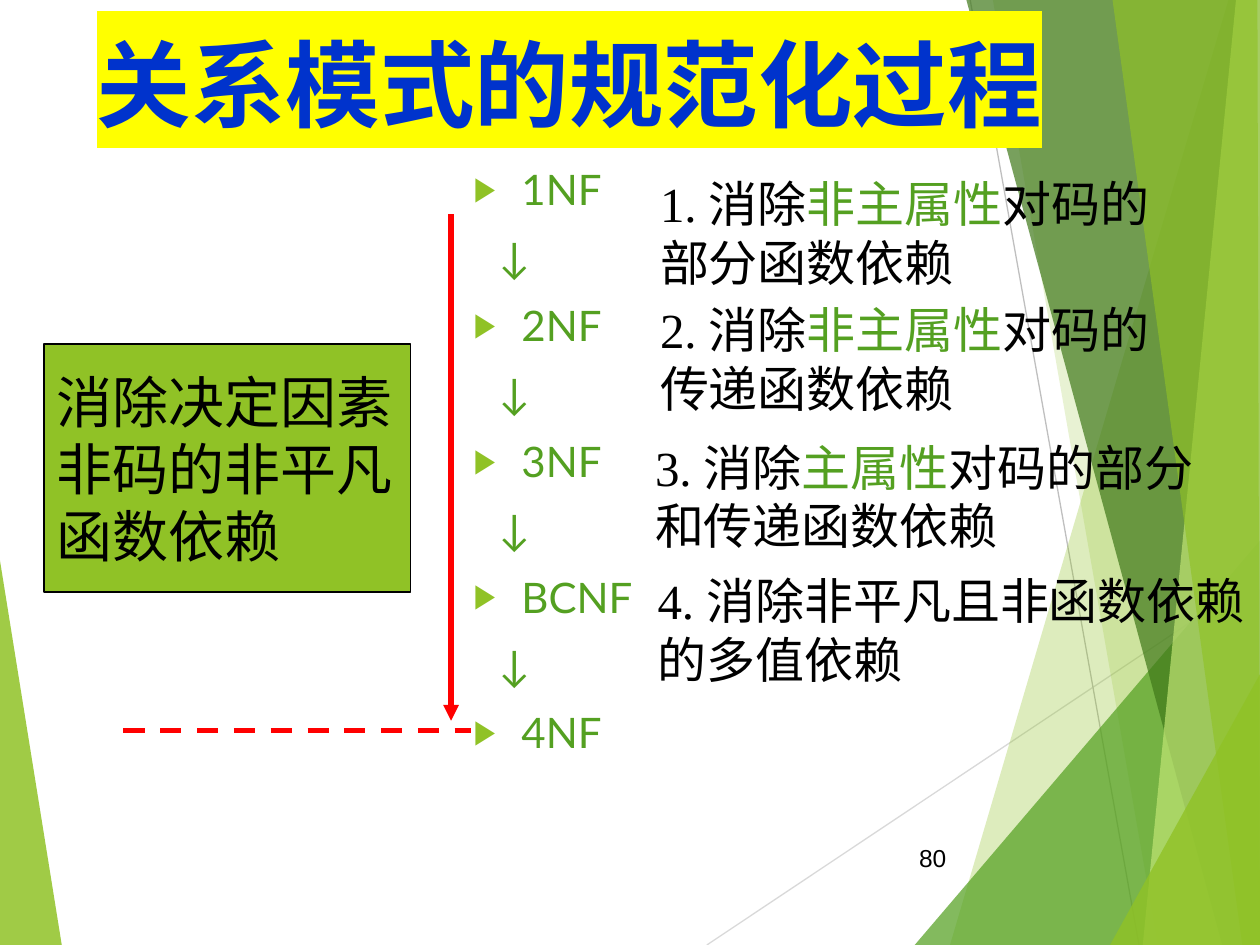
from pptx import Presentation
from pptx.dml.color import RGBColor
from pptx.enum.dml import MSO_LINE_DASH_STYLE as Dash
from pptx.enum.shapes import MSO_CONNECTOR, MSO_SHAPE
from pptx.enum.text import MSO_ANCHOR, PP_ALIGN
from pptx.oxml.ns import qn
from pptx.util import Inches, Pt
from lxml.etree import SubElement

COLORS = {
    "lime": "90C226", "green": "54A021", "forest": "3F7819", "pale": "C0E474",
    "blue": "0033CC", "yellow": "FFFF00", "red": "FF0000", "black": "000000",
    "silver": "D9D9D9", "gray": "BFBFBF",
}
SERIF = "Times New Roman"

# Content
TITLE = "关系模式的规范化过程"
NORMAL_FORMS = ["1NF", "2NF", "3NF", "BCNF", "4NF"]
# left, top, width, runs of (text, color)
STEPS = [
    (5.14, 1.33, 4.33, [("1. 消除", "black"), ("非主属性", "green"), ("对码的部分函数依赖", "black")]),
    (5.14, 2.33, 4.33, [("2. 消除", "black"), ("非主属性", "green"), ("对码的传递函数依赖", "black")]),
    (5.10, 3.42, 4.65, [("3. 消除", "black"), ("主属性", "green"), ("对码的部分和传递函数依赖", "black")]),
    (5.12, 4.48, 4.88, [("4. 消除非平凡且非函数依赖的多值依赖", "black")]),
]
SUMMARY = "消除决定因素非码的非平凡函数依赖"
PAGE_NUMBER = "80"

# Background facets: color, opacity in percent, corner points
LEFT_FACET = ("lime", 85, [(0, 4.45), (0.49, 7.5), (0, 7.5)])
RIGHT_FACETS = [
    ("lime", 30, [(9.75, 0), (7.54, 7.5), (10, 7.5), (10, 0)]),
    ("lime", 20, [(7.88, 0), (9.19, 7.5), (10, 7.5), (10, 0)]),
    ("green", 72, [(7.26, 7.5), (10, 4.29), (10, 7.5)]),
    ("forest", 70, [(7.67, 0), (9.7, 7.5), (10, 7.5), (10, 0)]),
    ("pale", 70, [(9.81, 0), (9.07, 7.5), (10, 7.5), (10, 0)]),
    ("lime", 65, [(8.83, 0), (9.86, 7.5), (10, 7.5), (9.98, 0)]),
    ("lime", 80, [(8.81, 7.5), (10, 5.35), (10, 7.5)]),
]

presentation = Presentation()
presentation.slide_width, presentation.slide_height = Inches(10), Inches(7.5)
slide = presentation.slides.add_slide(presentation.slide_layouts[6])
shapes = slide.shapes


def rgb(name):
    return RGBColor.from_string(COLORS[name])


def add_facet(color, opacity, points):
    corners = [(Inches(x), Inches(y)) for x, y in points]
    builder = shapes.build_freeform(*corners[0])
    builder.add_line_segments(corners[1:], close=True)
    shape = builder.convert_to_shape()
    shape.shadow.inherit = False
    shape.fill.solid()
    shape.fill.fore_color.rgb = rgb(color)
    shape.line.fill.background()
    color_element = shape.fill._xPr.find(qn("a:solidFill"))[0]
    SubElement(color_element, qn("a:alpha"), val=str(opacity * 1000))


def add_line(start, end, color, width):
    points = [Inches(value) for value in (*start, *end)]
    line = shapes.add_connector(MSO_CONNECTOR.STRAIGHT, *points)
    line.line.color.rgb = rgb(color)
    line.line.width = Pt(width)
    SubElement(line._element.spPr, qn("a:effectLst"))
    return line


def add_run(paragraph, text, size, color, font, bold=False):
    run = paragraph.add_run()
    run.text = text
    run.font.size, run.font.name, run.font.bold = Pt(size), font, bold
    run.font.color.rgb = rgb(color)
    return run


def add_box(left, top, width, height):
    box = shapes.add_textbox(*(Inches(value) for value in (left, top, width, height)))
    box.text_frame.word_wrap = True
    return box.text_frame


def add_bullet(paragraph):
    properties = paragraph._p.get_or_add_pPr()
    bullet_color = SubElement(properties, qn("a:buClr"))
    SubElement(bullet_color, qn("a:srgbClr"), val=COLORS["lime"])
    SubElement(properties, qn("a:buSzPct"), val="80000")
    SubElement(properties, qn("a:buFont"), typeface="Arial")
    SubElement(properties, qn("a:buChar"), char="▶")


# Background
add_facet(*LEFT_FACET)
add_line((5.61, 7.5), (10, 4.57), "silver", 0.75)
add_line((7.7, 0), (9.04, 7.5), "gray", 0.75)
for facet in RIGHT_FACETS:
    add_facet(*facet)

# Highlighted title
paragraph = add_box(0.67, 0.26, 8.17, 1.44).paragraphs[0]
paragraph.line_spacing = 0.9
run = add_run(paragraph, TITLE, 54, "blue", "Lato", bold=True)
fill = run._r.rPr.find(qn("a:solidFill"))
highlight = SubElement(run._r.rPr, qn("a:highlight"))
SubElement(highlight, qn("a:srgbClr"), val=COLORS["yellow"])
fill.addnext(highlight)

# Normal forms with an arrow between each pair
frame = add_box(3.66, 1.25, 2.05, 5.9)
entries = [entry for form in NORMAL_FORMS for entry in (form, "↓")][:-1]
for index, entry in enumerate(entries):
    paragraph = frame.add_paragraph() if index else frame.paragraphs[0]
    paragraph.space_before = Pt(10 if index else 0)
    is_form = entry != "↓"
    properties = paragraph._p.get_or_add_pPr()
    properties.set("marL", str(Inches(0.38 if is_form else 0.2)))
    properties.set("indent", str(Inches(-0.38 if is_form else 0)))
    if is_form:
        add_bullet(paragraph)
    add_run(paragraph, entry, 24, "green", "Lato")

# Page number
frame = add_box(7.05, 6.61, 0.56, 0.4)
frame.vertical_anchor = MSO_ANCHOR.MIDDLE
frame.paragraphs[0].alignment = PP_ALIGN.RIGHT
add_run(frame.paragraphs[0], PAGE_NUMBER, 14, "black", "Arial")

# What each step removes
for left, top, width, runs in STEPS:
    paragraph = add_box(left, top, width, 1.04).paragraphs[0]
    for text, color in runs:
        add_run(paragraph, text, 28, color, SERIF)

# Summary box
summary = shapes.add_shape(MSO_SHAPE.RECTANGLE, Inches(0.35), Inches(2.73), Inches(2.91), Inches(1.97))
summary.shadow.inherit = False
summary.fill.solid()
summary.fill.fore_color.rgb = rgb("lime")
summary.line.color.rgb = rgb("black")
summary.line.width = Pt(0.75)
summary.text_frame.word_wrap = True
summary.text_frame.vertical_anchor = MSO_ANCHOR.MIDDLE
paragraph = summary.text_frame.paragraphs[0]
paragraph.alignment = PP_ALIGN.LEFT
add_run(paragraph, SUMMARY, 32, "black", SERIF)

# Red range lines
add_line((0.98, 5.8), (3.74, 5.8), "red", 3).line.dash_style = Dash.DASH
arrow = add_line((3.58, 1.7), (3.58, 5.72), "red", 3)
SubElement(arrow.line._get_or_add_ln(), qn("a:tailEnd"), type="triangle")

presentation.save("out.pptx")
